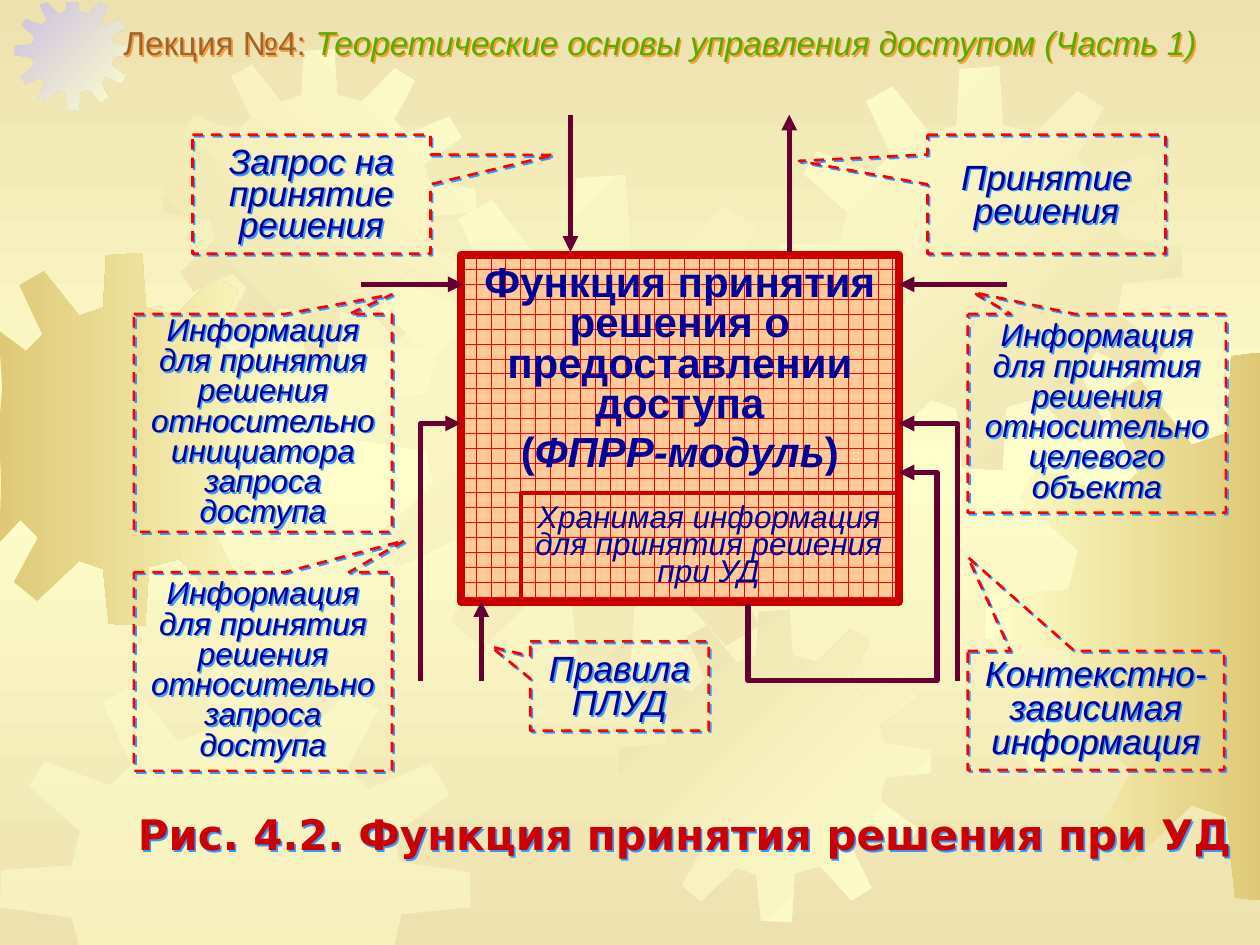
from copy import deepcopy
from dataclasses import dataclass

from lxml import etree
from pptx import Presentation
from pptx import util as u
from pptx.dml.color import RGBColor
from pptx.enum import dml, shapes, text
from pptx.oxml.ns import qn


@dataclass(frozen=True)
class Theme:
    font: str = "Arial"
    caption_font: str = "DejaVu Sans"
    sand: str = "EDE1AF"
    cream: str = "FFFFCC"
    gold: str = "DFC977"
    lilac: str = "CAC0E2"
    navy: str = "000099"
    red: str = "CC0000"
    callout_red: str = "FF0000"
    peach: str = "FFCC99"
    plum: str = "660033"
    brown: str = "996633"
    green: str = "56AC00"
    blue_shadow: str = "3399FF"
    orange_shadow: str = "FF9933"
    heading: float = 24
    label: float = 20
    header: float = 19
    small: float = 18


# Gear outline, in percent of its width
GEAR = [
    (63.6, 16.7), (55.6, 14.7), (54.6, 0), (44.9, 0.7), (44.1, 14.7), (37.7, 16.9),
    (28.2, 5), (21.7, 8.7), (27.9, 21.9), (23.4, 26.4), (9.5, 21.1), (6.2, 26.6),
    (17, 36.1), (15.2, 43.3), (0.2, 44.3), (0, 52.2), (15.2, 54.5), (16.7, 61.2),
    (5.5, 71.4), (9.5, 77.6), (21.9, 71.6), (26.7, 76.4), (20.2, 88.3), (26.4, 93.3),
    (37.7, 82.6), (44.1, 84.8), (45.6, 99.5), (55.4, 100), (56.4, 84.3), (64.6, 82.1),
    (74.6, 93), (81, 89.1), (74.6, 76.1), (78.8, 70.6), (91.8, 76.9), (95.8, 69.9),
    (83.8, 61.2), (85.3, 53.7), (100, 52.2), (99.8, 44.8), (85, 42.5), (83.5, 36.8),
    (95.5, 28.4), (91.5, 21.6), (78.1, 27.1), (73.8, 22.6), (80.5, 10.2), (74.1, 6.2),
]
WIDTH, HEIGHT = 720, 540


def color(value):
    return RGBColor.from_string(value)


def points(values):
    return [u.Pt(value) for value in values]


def apply(target, values):
    for name, value in values.items():
        setattr(target, name, value)


class SlideBuilder:
    def __init__(self, slide, theme):
        self.slide, self.theme = slide, theme

    def gradient(self, fill, colors, angle):
        fill.gradient()
        fill.gradient_angle = (360 - angle) % 360
        for stop, value in zip(fill.gradient_stops, colors):
            stop.color.rgb = color(value)

    def background(self, edge, middle):
        fill = self.slide.background.fill
        self.gradient(fill, (edge, middle), 90)
        stops = self.slide.element.find(".//" + qn("a:gsLst"))
        stops.append(deepcopy(stops[0]))
        for stop, position in zip(fill.gradient_stops, (0, 0.5, 1)):
            stop.position = position

    def outline(self, vertices, close):
        vertices = [points(vertex) for vertex in vertices]
        builder = self.slide.shapes.build_freeform(*vertices[0])
        builder.add_line_segments(vertices[1:], close=close)
        shape = builder.convert_to_shape()
        shape.shadow.inherit = False
        return shape

    def gear(self, left, top, size, colors, angle=0, ceiling=0):
        vertices = [(min(max(left + x * size / 100, 0), WIDTH),
                     min(max(top + y * size / 100, ceiling), HEIGHT)) for x, y in GEAR]
        shape = self.outline(vertices, True)
        shape.line.fill.background()
        if len(colors) == 2:
            self.gradient(shape.fill, colors, angle)
        else:
            shape.fill.solid()
            shape.fill.fore_color.rgb = color(colors[0])
            solid = shape.element.spPr.find(qn("a:solidFill"))
            etree.SubElement(solid[0], qn("a:alpha"), val="50000")

    def line_style(self, shape, value, width, dash=None):
        shape.line.color.rgb = color(value)
        apply(shape.line, {"width": u.Pt(width), "dash_style": dash})

    def shadow(self, shape, value):
        shape.shadow.inherit = False
        effects = shape.element.spPr.find(qn("a:effectLst"))
        outer = etree.SubElement(effects, qn("a:outerShdw"), blurRad="0",
                                 dist=str(u.Pt(1.4)), dir="2700000",
                                 algn="ctr", rotWithShape="0")
        etree.SubElement(outer, qn("a:srgbClr"), val=value)

    def add_text(self, shape, paragraphs, font, spacing, align=text.PP_ALIGN.CENTER,
                 anchor=text.MSO_ANCHOR.MIDDLE, left=0, top=0, gap=0):
        """Each paragraph is a list of (text, font overrides) runs."""
        frame = shape.text_frame
        apply(frame, {"word_wrap": True, "vertical_anchor": anchor,
                      "margin_left": u.Pt(left), "margin_top": u.Pt(top),
                      "margin_right": 0, "margin_bottom": 0})
        for index, runs in enumerate(paragraphs):
            paragraph = frame.add_paragraph() if index else frame.paragraphs[0]
            apply(paragraph, {"alignment": align, "line_spacing": spacing})
            if index and gap:
                paragraph.space_before = u.Pt(gap)
            for content, overrides in runs:
                run = paragraph.add_run()
                run.text = content
                values = {"name": self.theme.font, **font, **overrides}
                run.font.color.rgb = color(values.pop("color"))
                apply(run.font, {**values, "size": u.Pt(values["size"])})

    def text_box(self, box, runs, font, shadow, **layout):
        shape = self.slide.shapes.add_textbox(*points(box))
        self.shadow(shape, shadow)
        self.add_text(shape, [runs], font, **layout)

    def rectangle(self, box, width, kind=shapes.MSO_SHAPE.RECTANGLE):
        shape = self.slide.shapes.add_shape(kind, *points(box))
        shape.shadow.inherit = False
        shape.fill.background()
        self.line_style(shape, self.theme.red, width)
        return shape

    def callout(self, box, tip, lines, size, spacing=0.8, top=0):
        shape = self.rectangle(box, 1.5, shapes.MSO_SHAPE.RECTANGULAR_CALLOUT)
        for index, value in enumerate(tip):
            shape.adjustments[index] = value
        self.line_style(shape, self.theme.callout_red, 1.5, dml.MSO_LINE.DASH)
        self.shadow(shape, self.theme.blue_shadow)
        font = {"size": size, "color": self.theme.navy, "italic": True}
        self.add_text(shape, [[(line, {})] for line in lines], font, spacing, top=top)

    def arrowhead(self, shape):
        self.line_style(shape, self.theme.plum, 3)
        line = shape.element.spPr.find(qn("a:ln"))
        etree.SubElement(line, qn("a:tailEnd"), type="triangle")

    def arrow(self, start, end, elbow=False):
        kind = shapes.MSO_CONNECTOR.ELBOW if elbow else shapes.MSO_CONNECTOR.STRAIGHT
        connector = self.slide.shapes.add_connector(kind, *points(start + end))
        self.arrowhead(connector)
        properties = connector.element.spPr
        etree.SubElement(properties, qn("a:effectLst"))
        if elbow:  # turn at the very start: up first, then sideways
            guides = properties.find(qn("a:prstGeom")).find(qn("a:avLst"))
            etree.SubElement(guides, qn("a:gd"), name="adj1", fmla="val 0")

    def path_arrow(self, vertices):
        shape = self.outline(vertices, False)
        shape.fill.background()
        self.arrowhead(shape)


def main():
    presentation = Presentation()
    apply(presentation, {"slide_width": u.Pt(WIDTH), "slide_height": u.Pt(HEIGHT)})
    theme = Theme()
    builder = SlideBuilder(presentation.slides.add_slide(presentation.slide_layouts[6]), theme)

    # Background gears
    builder.background(theme.sand, theme.cream)
    rising, fading = (theme.sand, theme.cream), (theme.cream, theme.sand)
    builder.gear(-35, 144.5, 213, (theme.gold, theme.cream))
    builder.gear(8.5, -3, 66, (theme.lilac, theme.cream), 45, ceiling=1.5)
    builder.gear(93.5, 28, 178.5, rising, 315)
    builder.gear(199.5, 100, 289, fading, 45)
    builder.gear(0, 378, 269, (theme.cream,))
    builder.gear(353.5, 348.5, 178.5, rising, 45)
    builder.gear(445, 38, 230.5, fading, 45)
    builder.gear(563, 201.5, 313, (theme.cream, theme.gold))

    # Caption and header
    builder.text_box((62.5, 466, 657.5, 25), [("Рис. 4.2. Функция принятия решения при УД", {})],
                     {"name": theme.caption_font, "size": theme.heading, "color": theme.red,
                      "bold": True}, theme.blue_shadow, spacing=u.Pt(25))
    builder.text_box((60, 15, 660, 21.5),
                     [("Лекция №4: ", {}),
                      ("Теоретические основы управления доступом (Часть 1)",
                       {"color": theme.green, "italic": True})],
                     {"size": theme.header, "color": theme.brown}, theme.orange_shadow,
                     spacing=0.9, align=text.PP_ALIGN.LEFT, left=10.5)

    # Decision module
    module = builder.rectangle((263.5, 145.5, 250, 198.5), 4.5)
    module.fill.patterned()
    module.fill.pattern = dml.MSO_PATTERN.HORIZONTAL_BRICK
    module.fill.fore_color.rgb = color(theme.callout_red)
    module.fill.back_color.rgb = color(theme.peach)
    builder.add_text(module, [[("Функция принятия решения о предоставлении доступа", {})],
                              [("(", {}), ("ФПРР-модуль", {"italic": True}), (")", {})]],
                     {"size": theme.heading, "color": theme.navy, "bold": True}, 0.8,
                     anchor=text.MSO_ANCHOR.TOP, top=6, gap=4.8)
    store = builder.rectangle((297.5, 281.5, 215, 62.5), 2.25)
    builder.add_text(store, [[("Хранимая информация для принятия решения при УД", {})]],
                     {"size": theme.small, "color": theme.navy, "italic": True}, 0.72)

    # Arrows
    for start, end in [((451, 144), (451, 65.5)), ((326, 65.5), (326, 144)),
                       ((206.5, 162.5), (265, 162.5)), ((575.5, 162.5), (513.5, 162.5)),
                       ((275, 389), (275, 343.5))]:
        builder.arrow(start, end)
    builder.arrow((547, 389), (513.5, 242), elbow=True)
    builder.arrow((240.5, 389), (263.5, 242), elbow=True)
    builder.path_arrow([(427.5, 345), (427.5, 389), (535.5, 389), (535.5, 270), (513.5, 270)])

    # Callouts with a short label
    builder.callout((303, 366.5, 102, 51), (-0.72, -0.44), ["Правила ПЛУД"], theme.label, top=3)
    builder.callout((553, 372, 146.5, 68), (-0.5, -1.29),
                    ["Контекстно- зависимая", "информация"], theme.label)
    builder.callout((530, 77, 136, 68), (-1.04, -0.28), ["Принятие решения"], theme.label, top=3)
    builder.callout((110, 77, 136, 68), (1.02, -0.33), ["Запрос на принятие решения"],
                    theme.label, 0.75, top=3)

    # Callouts on the information used for the decision
    for left, top, height, tip, subject, last in [
            (76.5, 179.5, 124.5, (0.5, -0.59), "инициатора запроса", "доступа"),
            (76.5, 327, 113.5, (0.55, -0.66), "запроса", "доступа"),
            (553, 179.5, 113.5, (-0.48, -0.61), "целевого", "объекта")]:
        lines = ["Информация", f"для принятия решения относительно {subject}", last]
        builder.callout((left, top, 147.5, height), tip, lines, theme.small)

    presentation.save("out.pptx")


if __name__ == "__main__":
    main()
